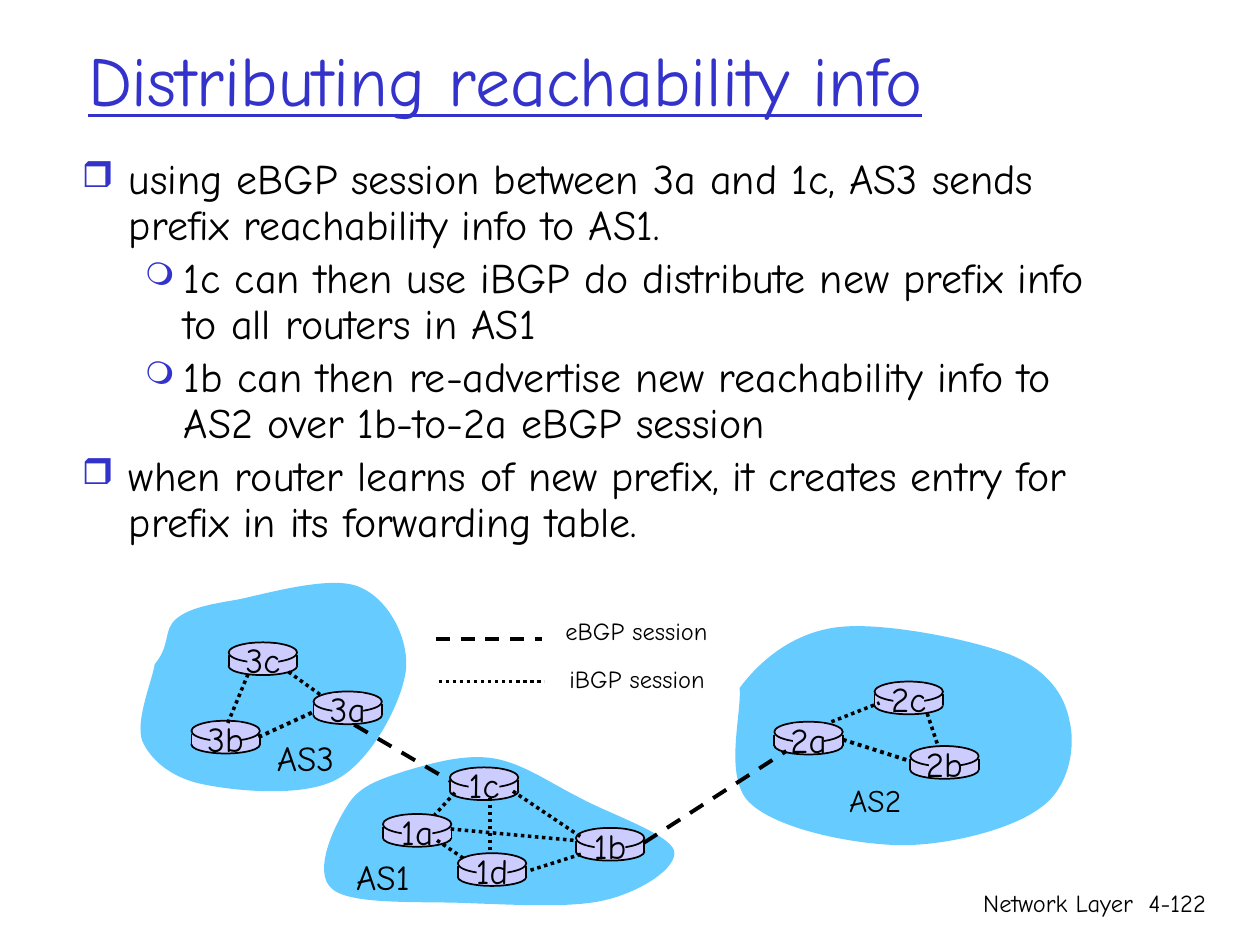
from dataclasses import dataclass

from lxml.etree import SubElement
from pptx import Presentation
from pptx.dml.color import RGBColor as RGB
from pptx.enum.dml import MSO_LINE_DASH_STYLE as Dash
from pptx.enum.shapes import MSO_CONNECTOR as Connector, MSO_SHAPE as Shape
from pptx.enum.text import MSO_ANCHOR as Anchor, MSO_AUTO_SIZE as AutoSize, PP_ALIGN as Align
from pptx.oxml.ns import qn
from pptx.util import Cm, Pt


@dataclass(frozen=True)
class Theme:
    font: str = "Comic Neue"
    ink: RGB = RGB(0x00, 0x00, 0x00)
    accent: RGB = RGB(0x33, 0x33, 0xCC)
    cloud: RGB = RGB(0x66, 0xCC, 0xFF)
    router: RGB = RGB(0xCC, 0xCC, 0xFF)
    title: int = 40
    body: int = 24
    label: int = 20
    area: int = 18
    small: int = 14


theme = Theme()


def write(frame, text, *, size, color=theme.ink, align=Align.LEFT, underline=None):
    """Fill the empty first paragraph of a frame, or add one after it."""
    last = frame.paragraphs[-1]
    paragraph = frame.add_paragraph() if last.runs else last
    paragraph.alignment = align
    run = paragraph.add_run()
    run.text = text
    run.font.name = theme.font
    run.font.size = Pt(size)
    run.font.color.rgb = color
    run.font.underline = underline
    return paragraph


def draw_line(x1, y1, x2, y2, width, dash=None):
    line = shapes.add_connector(Connector.STRAIGHT, Cm(x1), Cm(y1), Cm(x2), Cm(y2))
    line.line.color.rgb = theme.ink
    line.line.width = Pt(width)
    line.line.dash_style = dash
    SubElement(line._element.spPr, qn("a:effectLst"))


deck = Presentation()
deck.slide_width, deck.slide_height = Cm(25.4), Cm(19.05)
slide = deck.slides.add_slide(deck.slide_layouts[5])
shapes = slide.shapes

# Title
title = shapes.title
title.left, title.top, title.width, title.height = Cm(1.52), Cm(0), Cm(21.59), Cm(3.18)
title.text_frame.vertical_anchor = Anchor.MIDDLE
title.text_frame.auto_size = AutoSize.NONE
write(title.text_frame, "Distributing reachability info",
      size=theme.title, color=theme.accent, underline=True)

# Bulleted explanation: level and text
points = [
    (0, "using eBGP session between 3a and 1c, AS3 sends prefix reachability info to AS1."),
    (1, "1c can then use iBGP do distribute new prefix info to all routers in AS1"),
    (1, "1b can then re-advertise new reachability info to AS2 over 1b-to-2a eBGP session"),
    (0, "when router learns of new prefix, it creates entry for prefix in its forwarding table."),
]
# Per level: bullet, size in percent, left margin, hanging indent
bullets = [("❒", 85, 0.95, 0.95), ("❍", 75, 2.06, 0.79)]
explanation = shapes.add_textbox(Cm(1.4), Cm(3.07), Cm(21.59), Cm(6.58)).text_frame
explanation.word_wrap = True
for number, (level, text) in enumerate(points):
    point = write(explanation, text, size=theme.body)
    point.level = level
    point.line_spacing = 0.9
    point.space_before = Pt(4.8 if number else 0)
    bullet, percent, margin, hang = bullets[level]
    properties = point._p.get_or_add_pPr()
    properties.set("marL", str(Cm(margin)))
    properties.set("indent", str(-Cm(hang)))
    tint = SubElement(properties, qn("a:buClr"))
    SubElement(tint, qn("a:srgbClr"), val=str(theme.accent))
    SubElement(properties, qn("a:buSzPct"), val=str(percent * 1000))
    SubElement(properties, qn("a:buChar"), char=bullet)

# Autonomous systems: a start point, then three points for each Bézier curve
clouds = [
    [(14.91, 13.87),  # AS2
     (15.29, 13.36), (15.93, 12.78), (16.84, 12.65),
     (17.73, 12.52), (19.53, 12.88), (20.32, 13.18),
     (21.11, 13.49), (21.46, 14.0), (21.56, 14.53),
     (21.69, 15.04), (21.56, 15.88), (20.98, 16.28),
     (20.42, 16.71), (19.15, 17.04), (18.16, 17.04),
     (17.17, 17.02), (15.65, 16.71), (15.11, 16.18),
     (14.58, 15.67), (14.96, 14.38), (14.91, 13.87)],
    [(3.12, 13.39),  # AS3
     (3.45, 13.0), (3.28, 12.7), (3.56, 12.47),
     (3.81, 12.27), (4.17, 12.19), (4.78, 12.09),
     (5.41, 11.96), (6.71, 11.58), (7.26, 11.84),
     (7.85, 12.09), (8.26, 12.9), (8.18, 13.54),
     (8.08, 14.2), (7.49, 15.32), (6.81, 15.7),
     (6.15, 16.08), (4.78, 15.95), (4.14, 15.82),
     (3.48, 15.7), (3.05, 15.34), (2.87, 14.94),
     (2.72, 14.53), (3.07, 13.72), (3.12, 13.39)],
    [(7.01, 16.23),  # AS1
     (7.26, 15.82), (7.7, 15.7), (8.18, 15.54),
     (8.69, 15.39), (9.37, 15.19), (9.96, 15.29),
     (10.54, 15.39), (11.07, 15.77), (11.68, 16.08),
     (12.29, 16.41), (13.49, 16.81), (13.59, 17.15),
     (13.67, 17.5), (12.9, 17.98), (12.22, 18.14),
     (11.56, 18.31), (10.41, 18.24), (9.5, 18.21),
     (8.59, 18.16), (7.11, 18.26), (6.71, 17.93),
     (6.27, 17.6), (6.76, 16.61), (7.01, 16.23)],
]
for cloud_points in clouds:
    start, *rest = [(Cm(x), Cm(y)) for x, y in cloud_points]
    builder = shapes.build_freeform(*start)
    builder.add_line_segments(rest, close=True)
    cloud = builder.convert_to_shape()
    cloud.shadow.inherit = False
    cloud.fill.solid()
    cloud.fill.fore_color.rgb = theme.cloud
    cloud.line.fill.background()
    # Merge every three straight segments into one cubic curve
    outline = next(cloud._element.iter(qn("a:path")))
    segments = outline.findall(qn("a:lnTo"))
    for first, second, third in zip(segments[::3], segments[1::3], segments[2::3]):
        first.tag = qn("a:cubicBezTo")
        for segment in (second, third):
            first.append(segment[0])
            outline.remove(segment)

# Routers: left and top of each disc
routers = {
    "3b": (3.86, 14.53), "1d": (9.23, 17.2), "3a": (6.32, 13.94), "1c": (9.07, 15.47),
    "2a": (15.61, 14.55), "1a": (7.72, 16.41), "2c": (17.63, 13.74), "2b": (18.35, 15.04),
    "1b": (11.61, 16.69), "3c": (4.61, 12.95),
}
disc_width = 1.38
# Parts of a disc: shape, offset, size, outlined
disc_parts = [
    (Shape.OVAL, 0, 0.3, disc_width, 0.36, True),
    (Shape.RECTANGLE, 0, 0.26, disc_width, 0.22, False),
    (Shape.OVAL, 0, 0, disc_width, 0.41, True),
    (Shape.RECTANGLE, 0.38, 0.04, 0.62, 0.52, False),
]
for left, top in routers.values():
    for kind, dx, dy, width, height, outlined in disc_parts:
        part = shapes.add_shape(kind, Cm(left + dx), Cm(top + dy), Cm(width), Cm(height))
        part.shadow.inherit = False
        part.fill.solid()
        part.fill.fore_color.rgb = theme.router
        if outlined:
            part.line.color.rgb = theme.ink
            part.line.width = Pt(1)
        else:
            part.line.fill.background()
    for side in (left, left + disc_width):
        draw_line(side, top + 0.26, side, top + 0.48, 1)

# Sessions between routers, then the two legend samples
ebgp, ibgp = Dash.DASH, Dash.ROUND_DOT
sessions = [
    (16.99, 14.91, 18.34, 15.34, 2.25, ibgp), (5.21, 14.86, 6.32, 14.35, 2.25, ibgp),
    (7.14, 14.61, 9.09, 15.75, 2.25, ebgp), (12.98, 16.99, 15.85, 15.14, 2.25, ebgp),
    (9.17, 15.98, 8.76, 16.43, 2, ibgp), (9.88, 16.08, 9.88, 17.17, 2, ibgp),
    (10.34, 15.95, 11.71, 16.87, 2, ibgp), (11.71, 17.22, 10.67, 17.55, 2, ibgp),
    (11.56, 16.94, 9.07, 16.71, 2, ibgp), (16.76, 14.55, 17.73, 14.17, 2, ibgp),
    (6.45, 14.0, 5.77, 13.51, 2, ibgp), (5.0, 13.59, 4.57, 14.63, 2, ibgp),
    (18.69, 14.38, 18.9, 15.01, 2, ibgp), (8.81, 16.94, 9.37, 17.32, 2, ibgp),
    (8.79, 12.88, 10.92, 12.88, 2, ebgp), (8.84, 13.74, 10.97, 13.74, 2, ibgp),
]
for session in sessions:
    draw_line(*session)

# Router names, area names, legend and footer
labels = [(name, left + 0.04, top - 0.2, 1.3, 1.09, theme.label, Align.CENTER)
          for name, (left, top) in routers.items()]
labels += [
    ("AS3", 5.33, 14.73, 1.96, 1.09, theme.label, Align.LEFT),
    ("AS1", 6.93, 17.12, 1.83, 1.09, theme.label, Align.LEFT),
    ("AS2", 16.87, 15.62, 1.8, 1.02, theme.area, Align.LEFT),
    ("eBGP session", 11.15, 12.29, 3.48, 0.84, theme.small, Align.LEFT),
    ("iBGP session", 11.23, 13.26, 3.35, 0.84, theme.small, Align.LEFT),
    ("Network Layer", 15.04, 17.78, 8.05, 1.27, theme.small, Align.RIGHT),
    ("4-122", 22.68, 17.78, 1.88, 1.27, theme.small, Align.RIGHT),
]
for text, left, top, width, height, size, align in labels:
    label = shapes.add_textbox(Cm(left), Cm(top), Cm(width), Cm(height)).text_frame
    label.word_wrap = align == Align.RIGHT
    write(label, text, size=size, align=align)

deck.save("out.pptx")
